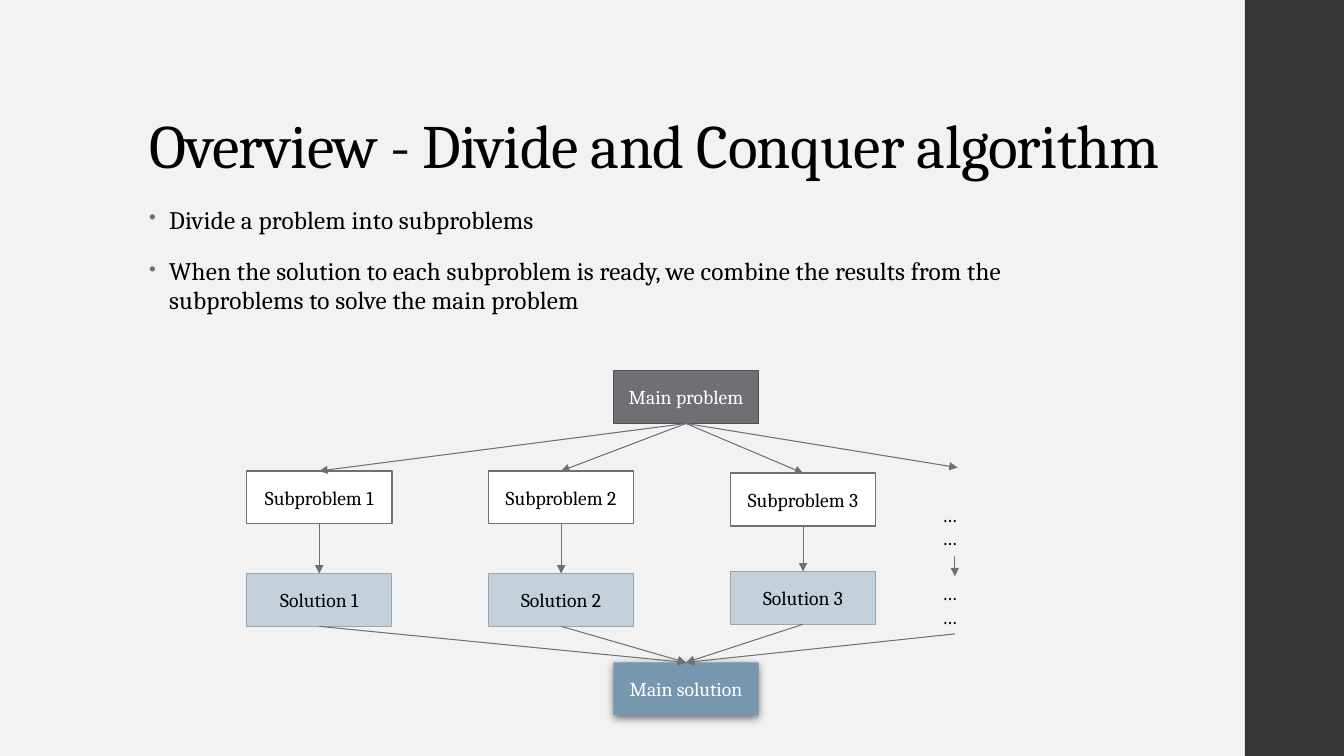
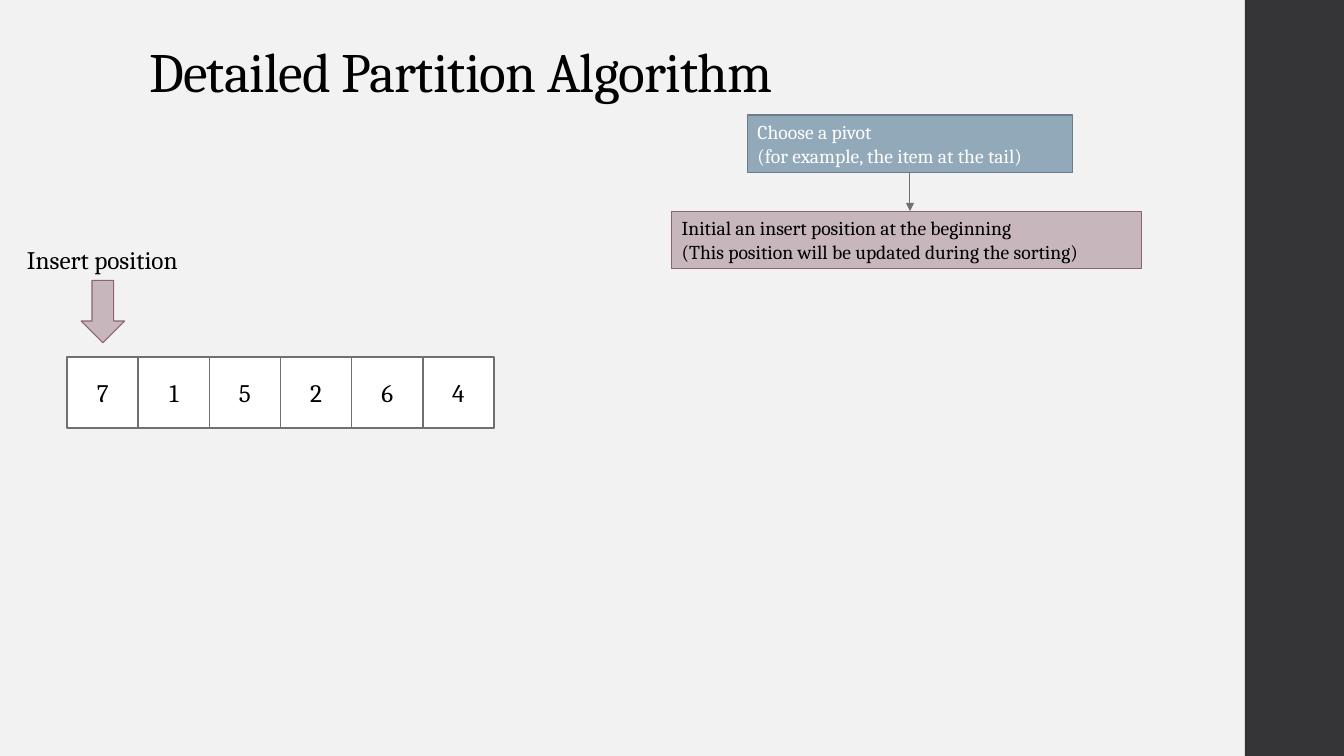
from dataclasses import dataclass

from lxml import etree
from pptx import Presentation
from pptx.dml.color import RGBColor
from pptx.enum.shapes import MSO_CONNECTOR, MSO_SHAPE
from pptx.enum.text import MSO_ANCHOR, PP_ALIGN
from pptx.oxml.ns import qn
from pptx.util import Pt

RECTANGLE = MSO_SHAPE.RECTANGLE
DOWN_ARROW = MSO_SHAPE.DOWN_ARROW
STRAIGHT = MSO_CONNECTOR.STRAIGHT
LEFT, CENTER = PP_ALIGN.LEFT, PP_ALIGN.CENTER
TOP, MIDDLE, BOTTOM = MSO_ANCHOR.TOP, MSO_ANCHOR.MIDDLE, MSO_ANCHOR.BOTTOM
TOP_SITE, BOTTOM_SITE = 0, 2


@dataclass(frozen=True)
class Look:
    fill: str
    line: str = ""
    weight: float = 0.75
    ink: str = "000000"
    shadow: bool = False


@dataclass(frozen=True)
class Theme:
    font: str = "Cambria"
    ink: str = "000000"
    paper: str = "F2F2F2"
    strip: Look = Look("353537")
    gray: str = "6F6F74"
    problem: Look = Look("6F6F74", "525256", 1.1, "FFFFFF")
    plain: Look = Look("FFFFFF", "6F6F74", 1.1)
    solution: Look = Look("C5D1DA", "92A9B9")
    result: Look = Look("7797AE", ink="FFFFFF", shadow=True)
    pivot: Look = Look("92A9B9", "6C7D89", 1.1, "FFFFFF")
    insert: Look = Look("C7B6BC", "8D6374")
    title_size: float = 44
    small_title_size: float = 39.6
    body_size: float = 18
    label_size: float = 14


THEME = Theme()


def add_element(parent, tag, **attributes):
    child = etree.SubElement(parent, qn(tag))
    for name, value in attributes.items():
        child.set(name, str(value))
    return child


def add_bullet(para):
    properties = para._p.get_or_add_pPr()
    properties.set("marL", str(Pt(14.4)))
    properties.set("indent", str(Pt(-14.4)))
    color = add_element(properties, "a:buClr")
    add_element(color, "a:srgbClr", val=THEME.gray)
    add_element(properties, "a:buSzPct", val=80000)
    add_element(properties, "a:buChar", char="•")


def write(box, text, size=THEME.label_size, color=THEME.ink, align=LEFT,
          anchor=TOP, leading=None, before=0, after=0, tracking=0, bullet=False):
    frame = box.text_frame
    frame.word_wrap = True
    frame.vertical_anchor = anchor
    for index, line in enumerate(text.split("\n")):
        para = frame.add_paragraph() if index else frame.paragraphs[0]
        if bullet:
            add_bullet(para)
        para.alignment = align
        para.line_spacing = leading
        para.space_before = Pt(before if index else 0)
        para.space_after = Pt(after)
        span = para.add_run()
        span.text = line
        span.font.name = THEME.font
        span.font.size = Pt(size)
        span.font.color.rgb = RGBColor.from_string(color)
        if tracking:
            span._r.get_or_add_rPr().set("spc", str(round(tracking * 100)))


class Slides:
    def __init__(self, theme):
        self.theme = theme
        self.deck = Presentation()
        self.deck.slide_width, self.deck.slide_height = Pt(960), Pt(540)
        fill = self.deck.slide_master.background.fill
        fill.solid()
        fill.fore_color.rgb = RGBColor.from_string(theme.paper)
        self.page = None

    def new_page(self, title, height, size):
        self.page = self.deck.slides.add_slide(self.deck.slide_layouts[6])
        self.shape(889.2, 0, 70.8, 540, self.theme.strip)
        self.text(title, 99.4, 28.8, 763, height, size=size,
                  anchor=BOTTOM, leading=0.9, tracking=-0.5)

    def text(self, text, left, top, width, height, **style):
        box = self.page.shapes.add_textbox(Pt(left), Pt(top), Pt(width), Pt(height))
        write(box, text, **style)
        return box

    def shape(self, left, top, width, height, look, text="", kind=RECTANGLE, **style):
        box = self.page.shapes.add_shape(kind, Pt(left), Pt(top), Pt(width), Pt(height))
        box.shadow.inherit = False
        box.fill.solid()
        box.fill.fore_color.rgb = RGBColor.from_string(look.fill)
        if look.line:
            box.line.color.rgb = RGBColor.from_string(look.line)
            box.line.width = Pt(look.weight)
        else:
            box.line.fill.background()
        if look.shadow:
            self.drop_shadow(box)
        if text:
            write(box, text, color=look.ink, **style)
        return box

    def drop_shadow(self, box):
        effects = box._element.spPr.find(qn("a:effectLst"))
        shadow = add_element(effects, "a:outerShdw", blurRad=Pt(6), dist=Pt(2),
                             dir=5400000, algn="ctr", rotWithShape=0)
        color = add_element(shadow, "a:srgbClr", val="000000")
        add_element(color, "a:alpha", val=55000)

    def node(self, text, left, top, look):
        return self.shape(left, top, 103.7, 37.7, look, text, align=CENTER, anchor=MIDDLE)

    def arrow(self, start, end=None, tip=(0, 0)):
        x, y = tip
        line = self.page.shapes.add_connector(STRAIGHT, 0, 0, Pt(x), Pt(y))
        line.begin_connect(start, BOTTOM_SITE)
        if end is not None:
            line.end_connect(end, TOP_SITE)
        line.line.color.rgb = RGBColor.from_string(self.theme.gray)
        line.line.width = Pt(0.75)
        add_element(line.line._get_or_add_ln(), "a:tailEnd", type="triangle")
        add_element(line._element.spPr, "a:effectLst")


def build_overview(slides):
    theme = slides.theme
    slides.new_page("Overview - Divide and Conquer algorithm", 104.4, theme.title_size)
    slides.text(
        "Divide a problem into subproblems\n"
        "When the solution to each subproblem is ready, we combine the results "
        "from the subproblems to solve the main problem",
        99.4, 144, 676.8, 104.4, size=theme.body_size, leading=0.95,
        before=14, after=2, tracking=0.1, bullet=True)

    problem = slides.node("Main problem", 438.2, 264.8, theme.problem)
    result = slides.node("Main solution", 438.2, 473.2, theme.result)
    branches = []
    row_tops = [(336.4, 409.7), (336.4, 409.7), (338, 408.2)]
    for index, (upper, lower) in enumerate(row_tops):
        left = 176.2 + 172.8 * index
        branches.append((
            slides.node(f"Subproblem {index + 1}", left, upper, theme.plain),
            slides.node(f"Solution {index + 1}", left, lower, theme.solution)))
    more = [slides.text("……", 665.8, top, 32.4, 41.2) for top in (355.6, 411.6)]

    for subproblem, solution in branches:
        slides.arrow(problem, subproblem)
    slides.arrow(problem, tip=(684, 334))
    for subproblem, solution in branches + [more]:
        slides.arrow(subproblem, solution)
        slides.arrow(solution, result)


def build_partition(slides):
    theme = slides.theme
    slides.new_page("Detailed Partition Algorithm", 49, theme.small_title_size)
    for index, number in enumerate((7, 1, 5, 2, 6, 4)):
        slides.shape(48 + 50.8 * index, 255, 50.8, 50.8, theme.plain, str(number),
                     size=theme.body_size, align=CENTER, anchor=MIDDLE)
    pivot = slides.shape(534, 82.2, 232, 41.2, theme.pivot,
                         "Choose a pivot\n(for example, the item at the tail)")
    slides.arrow(pivot, tip=(650, 150.8))
    slides.shape(479.8, 150.8, 335.6, 41.2, theme.insert,
                 "Initial an insert position at the beginning\n"
                 "(This position will be updated during the sorting)")
    slides.shape(58, 200.2, 31, 44.6, theme.insert, kind=DOWN_ARROW)
    slides.text("Insert position", 12.2, 171.2, 137.6, 29, size=theme.body_size)


def main():
    slides = Slides(THEME)
    build_overview(slides)
    build_partition(slides)
    slides.deck.save("out.pptx")


if __name__ == "__main__":
    main()
